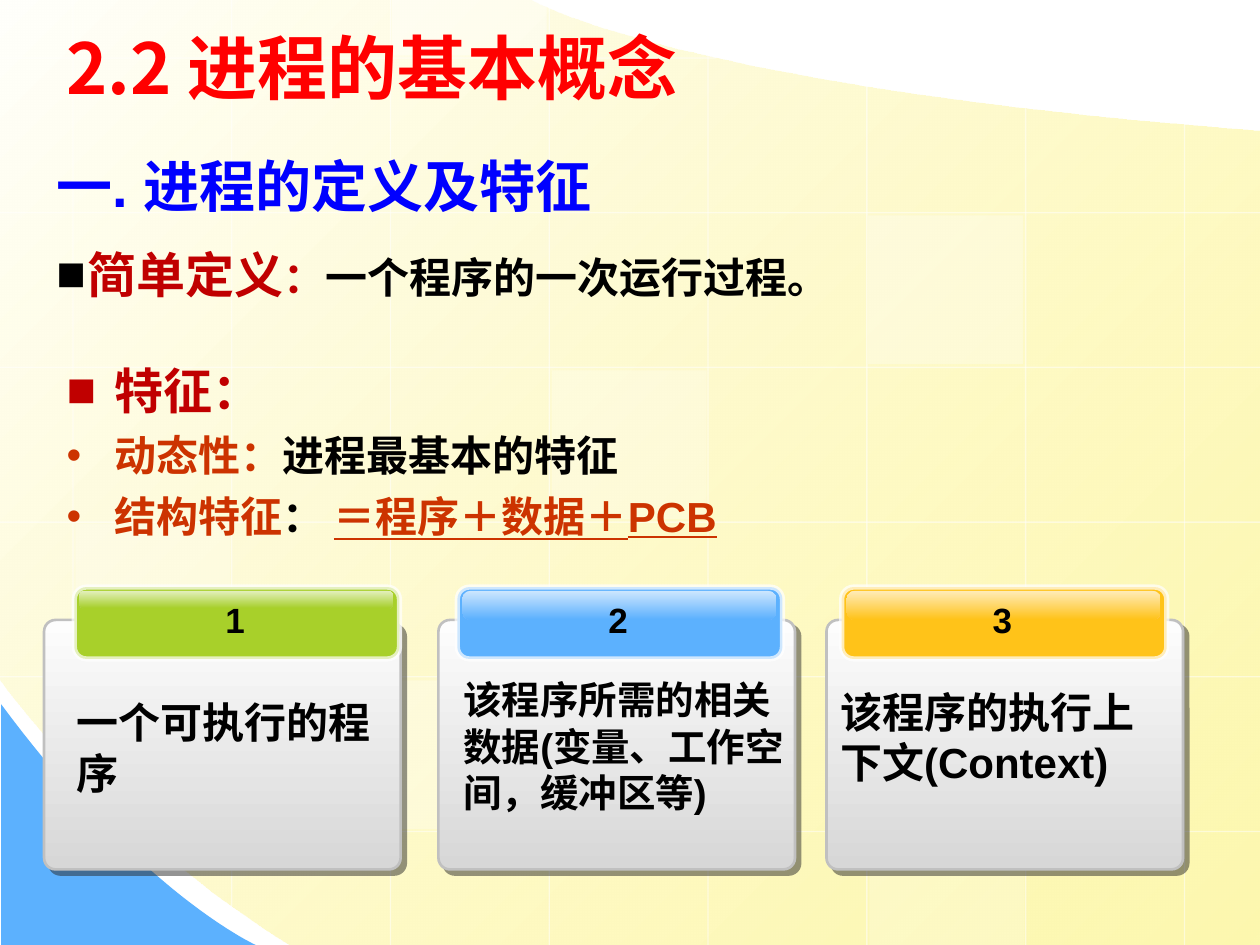
from lxml import etree
from pptx import Presentation
from pptx import util as u
from pptx.dml.color import RGBColor
from pptx.enum import shapes, text
from pptx.oxml.ns import qn

HUES = {
    "white": "FFFFFF", "cream": "FFFFFB", "yellow": "FDF58D",
    "blue": "5CB1FE", "green": "A8D02A", "gold": "FFC319",
    "pale": "FDFDFD", "grey": "D7D7D7", "edge": "C0C0C0", "shade": "292929",
    "red": "FF0000", "navy": "0000FF", "wine": "C00000", "rust": "CC3300",
    "black": "000000",
}
CJK = "Noto Sans CJK SC"


def sub(node, tag, **attrs):
    item = etree.SubElement(node, qn(tag))
    for key, val in attrs.items():
        item.set(key, str(val))
    return item


def tint(node, hue, alpha=100):
    """Add a colour, with its opacity in percent, below an XML node."""
    clr = sub(node, "a:srgbClr", val=HUES[hue])
    if alpha < 100:
        sub(clr, "a:alpha", val=alpha * 1000)


def fade(node, alpha):
    for clr in node.iter(qn("a:srgbClr")):
        sub(clr, "a:alpha", val=alpha * 1000)


def paint(shape, fill, alpha=100, line=None, width=0, clear=100):
    shape.shadow.inherit = False
    shape.fill.solid()
    shape.fill.fore_color.rgb = RGBColor.from_string(HUES[fill])
    if alpha < 100:
        fade(shape.fill._xPr.find(qn("a:solidFill")), alpha)
    if line is None:
        shape.line.fill.background()
        return
    shape.line.color.rgb = RGBColor.from_string(HUES[line])
    shape.line.width = u.Pt(width)
    if clear < 100:
        fade(shape.line._get_or_add_ln(), clear)


def blend(shape, stops, angle):
    """Replace the solid fill with a gradient of (hue, opacity) stops."""
    old = shape._element.spPr.find(qn("a:solidFill"))
    grad = etree.Element(qn("a:gradFill"), rotWithShape="1")
    stack = sub(grad, "a:gsLst")
    for pos, (hue, alpha) in zip((0, 100000), stops):
        tint(sub(stack, "a:gs", pos=pos), hue, alpha)
    sub(grad, "a:lin", ang=angle * 60000, scaled=0)
    old.getparent().replace(old, grad)


def block(slide, kind, x, y, w, h, round_by=None):
    item = slide.shapes.add_shape(kind, *map(u.Inches, (x, y, w, h)))
    if round_by is not None:
        item.adjustments[0] = round_by
    return item


def curve(p0, p1, p2, p3, steps=40):
    """Points along a cubic Bezier curve, without its start."""
    for i in range(1, steps + 1):
        t = i / steps
        s = 1 - t
        yield tuple(s**3 * a + 3 * s * s * t * b + 3 * s * t * t * c + t**3 * d
                    for a, b, c, d in zip(p0, p1, p2, p3))


def outline(slide, points):
    spots = [(u.Inches(x), u.Inches(y)) for x, y in points]
    form = slide.shapes.build_freeform(*spots[0], scale=1.0)
    form.add_line_segments(spots[1:], close=True)
    return form.convert_to_shape()


def rule(slide, x1, y1, x2, y2):
    line = slide.shapes.add_connector(
        shapes.MSO_CONNECTOR.STRAIGHT, *map(u.Inches, (x1, y1, x2, y2)))
    line.line.color.rgb = RGBColor.from_string(HUES["white"])
    line.line.width = u.Pt(0.75)
    fade(line.line._get_or_add_ln(), 50)
    sub(line._element.spPr, "a:effectLst")


def write(frame, runs, size=24, font="Arial", gap=0, indent=0, mark=None,
          hue="black", align=None, first=False):
    """Write one paragraph of (words, hue, size, underline) runs."""
    para = frame.paragraphs[0] if first else frame.add_paragraph()
    props = para._p.get_or_add_pPr()
    if indent:
        props.set("marL", str(u.Inches(indent)))
        props.set("indent", str(-u.Inches(indent)))
    para.space_before = u.Pt(gap)
    para.line_spacing = u.Pt(round(size * 1.2, 1))
    if align is not None:
        para.alignment = align
    if mark:
        tint(sub(props, "a:buClr"), hue)
        sub(props, "a:buFont", typeface="Arial")
        sub(props, "a:buChar", char=mark)
    for words, *form in runs:
        shade, points, under = (form + [None] * 3)[:3]
        run = para.add_run()
        run.text = words
        run.font.size = u.Pt(points or size)
        run.font.bold = True
        run.font.name = font
        run.font.underline = under
        run.font.color.rgb = RGBColor.from_string(HUES[shade or hue])
        sub(run._r.get_or_add_rPr(), "a:ea", typeface=CJK)


def area(slide, x, y, w, h, wrap=True, middle=False):
    frame = slide.shapes.add_textbox(*map(u.Inches, (x, y, w, h))).text_frame
    frame.word_wrap = wrap
    if middle:
        frame.vertical_anchor = text.MSO_ANCHOR.MIDDLE
    return frame


def backdrop(slide, w, h):
    low, high = (2.3, h), (4.21, 0)
    wave = outline(slide, [
        (w, 1.04), (w, h), low, *curve(low, (0.86, 6.61), (0, 5.39), (0, 5.39)),
        (0, 0), high, *curve(high, high, (5.37, 0.69), (w, 1.04))])
    paint(wave, "yellow")
    blend(wave, [("cream", 100), ("yellow", 70)], 45)
    foot = (2.03, h)
    paint(outline(slide, [(0.01, h), foot,
                          *curve(foot, foot, (1.12, 7.09), (0.01, 5.59))]), "blue")

    tops = (0, 0, 0, 0, 0.43, 0.68, 0.85, 0.98)
    ends = (6.09, 7.19) + (h,) * 6
    for i, (top, end) in enumerate(zip(tops, ends)):
        rule(slide, 0.58 + 1.26 * i, top, 0.58 + 1.26 * i, end)
    for i in range(6):
        y = 0.46 + 1.228 * i
        rule(slide, 5.68 if i == 0 else w, y, 1.11 if i == 5 else 0, y)

    tiles = [(4.38, 2.94, 1.18, 25), (8.16, 5.4, 1.18, 30), (0.6, 4.16, 1.18, 20),
             (6.9, 6.63, 0.87, 20), (3.11, 0, 0.44, 40), (3.12, 5.4, 1.18, 30),
             (6.89, 1.71, 1.18, 30)]
    for x, y, tall, alpha in tiles:
        paint(block(slide, shapes.MSO_SHAPE.RECTANGLE, x, y, 1.23, tall), "white", alpha)


def title(slide, *box):
    write(area(slide, *box, middle=True), [("2.2 进程的基本概念",)], size=40,
          font=CJK, hue="red", first=True)


def meaning(slide, *box):
    frame = area(slide, *box)
    write(frame, [("一. 进程的定义及特征", "navy")], size=32, indent=0.25, first=True)
    write(frame, [("简单定义", "wine"), ("：", "wine", 24),
                  ("一个程序的一次运行过程。", "black", 24)],
          size=28, gap=15, indent=0.25, mark="■")


def traits(slide, *box):
    frame = area(slide, *box)
    write(frame, [("特征：",)], size=28, font=CJK, indent=0.38, mark="■",
          hue="wine", first=True)
    points = [[("动态性：",), ("进程最基本的特征", "black")],
              [("结构特征",), ("： ", "black"), ("＝程序＋数据＋PCB", "rust", 24, True)]]
    for runs in points:
        write(frame, runs, gap=6, indent=0.38, mark="•", hue="rust")


def card(slide, x, y, number, hue, words, tab, note, size=24, gloss=0.23):
    """Place a card; tab is the tab's x offset, note the text's x, y offset."""
    curved = shapes.MSO_SHAPE.ROUNDED_RECTANGLE
    body = block(slide, curved, x, y + 0.26, 2.83, 1.98, 0.046)
    paint(body, "grey", line="edge", width=1.5)
    blend(body, [("pale", 100), ("grey", 100)], 90)
    glow = body._element.spPr.find(qn("a:effectLst"))
    tint(sub(glow, "a:outerShdw", blurRad=0, dist=u.Pt(4.2), dir=45 * 60000,
             algn="ctr", rotWithShape=0), "shade", 50)

    left = x + tab
    paint(block(slide, curved, left, y, 2.58, 0.57, 0.167), hue,
          line="white", width=3, clear=69)
    shine = block(slide, curved, left + 0.04, y + 0.03, 2.49, gloss, 0.284)
    paint(shine, hue)
    blend(shine, [("white", 70), (hue, 70)], 90)
    write(area(slide, left + 1.1, y + 0.04, 0.35, 0.44, wrap=False), [(number,)],
          size=20, align=text.PP_ALIGN.CENTER, first=True)
    write(area(slide, x + note[0], y + note[1], 2.74, 0.9 if size == 24 else 1.2),
          [(words,)], size=size, first=True)


def main():
    deck = Presentation()
    deck.slide_width, deck.slide_height = u.Inches(10), u.Inches(7.5)
    slide = deck.slides.add_slide(deck.slide_layouts[6])
    backdrop(slide, 10, 7.5)
    title(slide, 0.43, 0.13, 7.48, 0.79)
    meaning(slide, 0.35, 1.15, 9.06, 1.31)
    traits(slide, 0.43, 2.81, 9.06, 1.5)
    card(slide, 0.35, 4.66, "1", "green", "一个可执行的程序", 0.24, (0.16, 0.82),
         gloss=0.14)
    card(slide, 3.48, 4.66, "2", "blue", "该程序所需的相关数据(变量、工作空间，缓冲区等)",
         0.15, (0.1, 0.66), size=22)
    card(slide, 6.56, 4.66, "3", "gold", "该程序的执行上下文(Context)", 0.12, (0.01, 0.74))
    deck.save("out.pptx")


if __name__ == "__main__":
    main()
